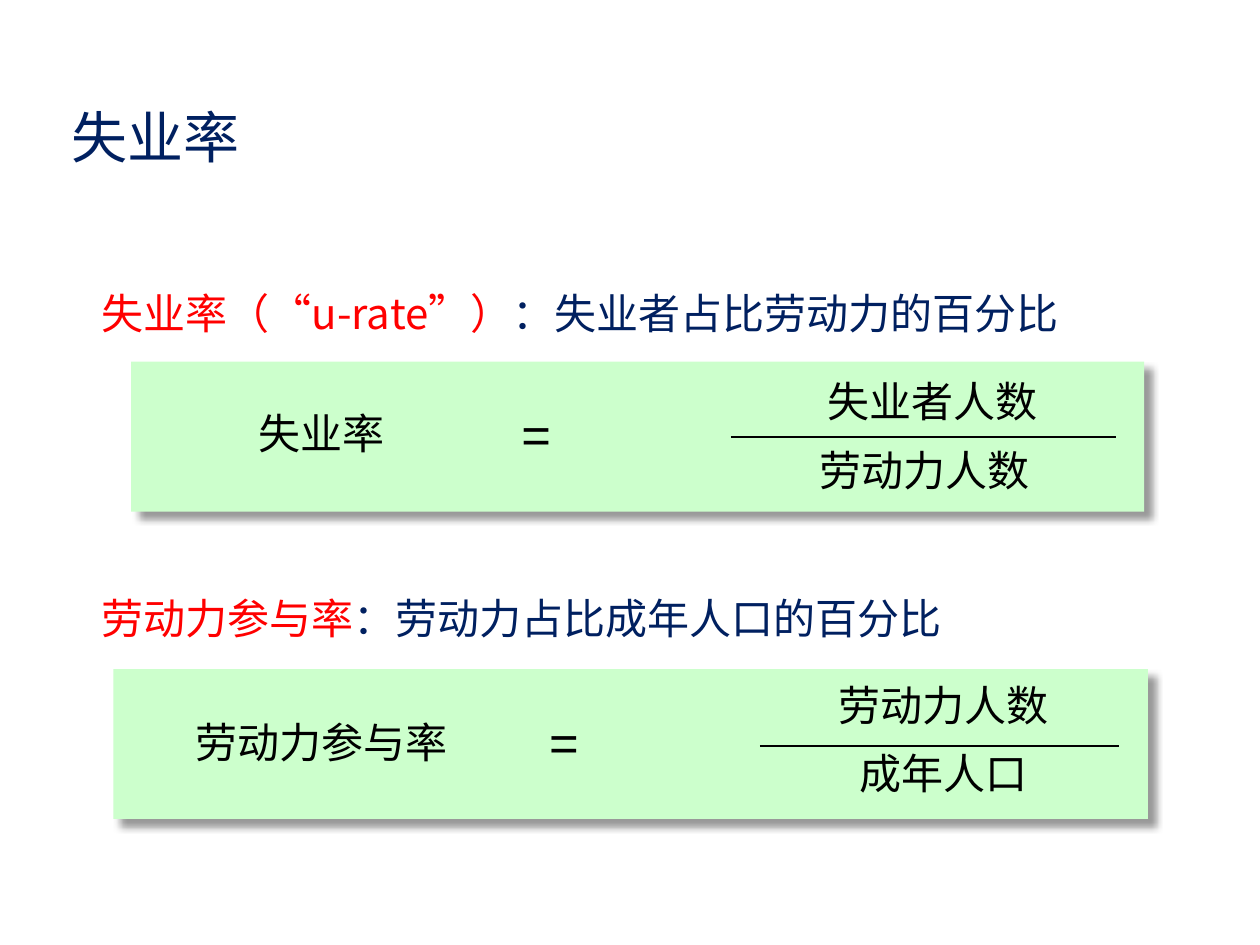
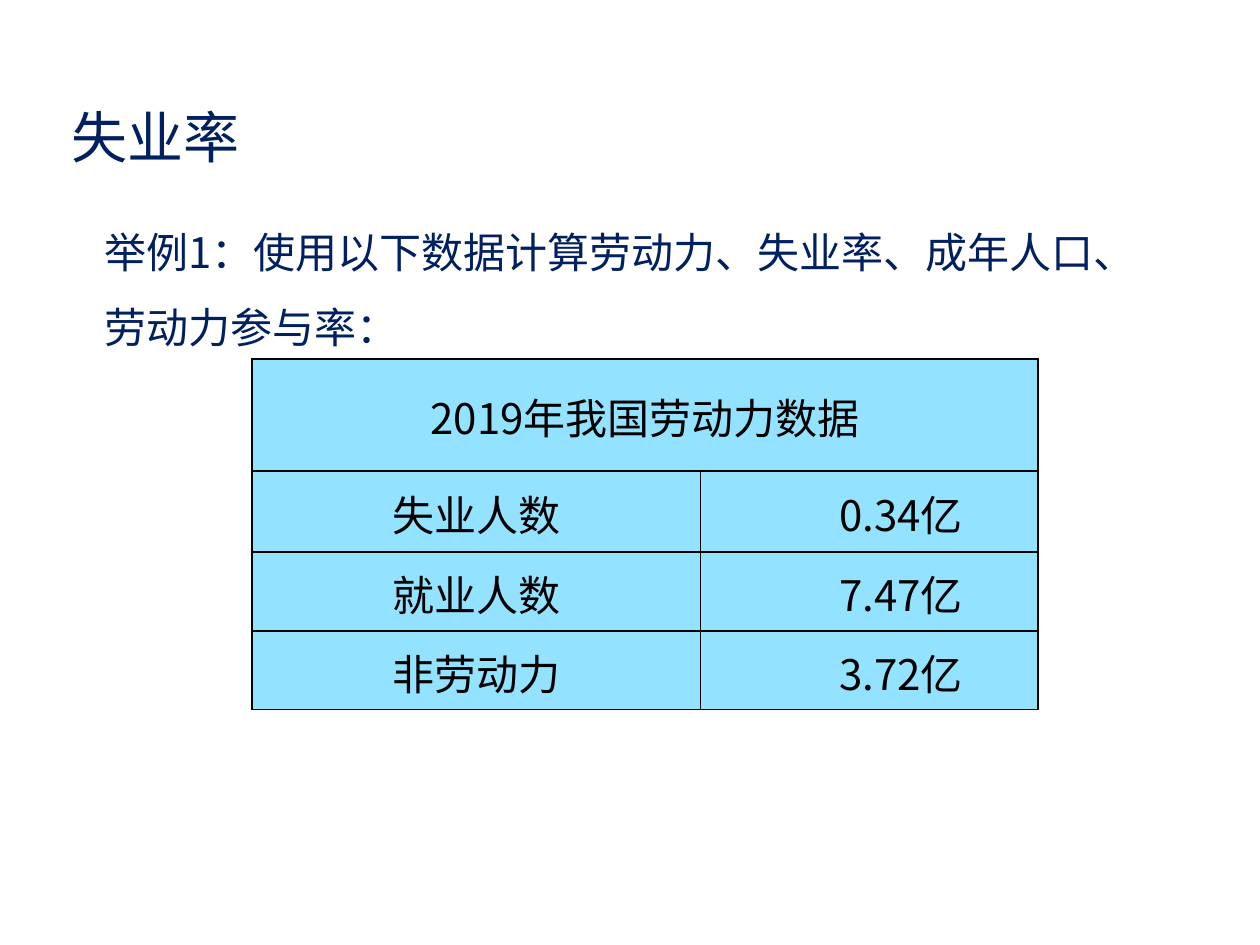
from lxml.etree import SubElement
from pptx import Presentation
from pptx.dml.color import RGBColor
from pptx.enum.shapes import MSO_CONNECTOR, MSO_SHAPE
from pptx.enum.text import MSO_ANCHOR, PP_ALIGN
from pptx.oxml import parse_xml
from pptx.oxml.ns import nsdecls, qn
from pptx.util import Inches, Pt

NAVY = RGBColor(0x00, 0x20, 0x60)
RED = RGBColor(0xFF, 0x00, 0x00)
BLACK = RGBColor(0x00, 0x00, 0x00)
GREEN = RGBColor(0xCC, 0xFF, 0xCC)
SKY = RGBColor(0x93, 0xE2, 0xFF)
SANS = "Noto Sans CJK SC"
SANS_JP = "Noto Sans CJK JP"
LEFT, CENTER = PP_ALIGN.LEFT, PP_ALIGN.CENTER

SHADOW = f"""<a:effectLst {nsdecls('a')}>
  <a:outerShdw blurRad="50800" dist="76200" dir="2700000" algn="tl" rotWithShape="0">
    <a:srgbClr val="000000"><a:alpha val="40000"/></a:srgbClr>
  </a:outerShdw>
</a:effectLst>"""
BORDER = """<a:{side} {ns} w="12700">
  <a:solidFill><a:srgbClr val="000000"/></a:solidFill>
</a:{side}>"""


def write(frame, runs, align=LEFT, size=24, spacing=None):
    """Fill the first paragraph with (text, colour, font) runs."""
    para = frame.paragraphs[0]
    para.alignment = align
    if spacing:
        para.line_spacing = spacing
    for text, color, name in runs:
        run = para.add_run()
        run.text = text
        run.font.size = Pt(size)
        run.font.name = name
        run.font.color.rgb = color
        if name != "Arial":
            SubElement(run.font._element, qn("a:ea"), typeface=name)


def add_text(shapes, box, runs, anchor=MSO_ANCHOR.MIDDLE, **style):
    frame = shapes.add_textbox(*map(Inches, box)).text_frame
    frame.word_wrap = True
    frame.vertical_anchor = anchor
    write(frame, runs, **style)


prs = Presentation()
prs.slide_width, prs.slide_height = Inches(10), Inches(7.5)

# Both slides carry the same title
slides = []
for number in range(2):
    slide = prs.slides.add_slide(prs.slide_layouts[5])
    title = slide.shapes.title
    title.left, title.top = Inches(0.47), Inches(0.76)
    title.width, title.height = Inches(1.55), Inches(0.64)
    title.text_frame.word_wrap = False
    title.text_frame.vertical_anchor = MSO_ANCHOR.MIDDLE
    write(title.text_frame, [("失业率", NAVY, SANS)], size=32)
    slides.append(slide)
rates, example = slides

# Definitions
for top, height, term, meaning in [
    (1.8, 0.91, "失业率（“u-rate”）", "：失业者占比劳动力的百分比"),
    (4.22, 0.79, "劳动力参与率", "：劳动力占比成年人口的百分比"),
]:
    add_text(rates.shapes, (0.71, top, 8.43, height),
             [(term, RED, SANS), (meaning, NAVY, SANS)],
             anchor=MSO_ANCHOR.TOP, spacing=Pt(60))

# Formulas: panel, fraction bar, then the texts on them
for panel_box, bar, texts in [
    ((1.04, 2.87, 8.04, 1.19), (5.8, 3.47, 8.86), [
        ("失业率", (1.14, 2.92, 2.82, 1.03)),
        ("失业者人数", (5.63, 2.89, 3.54, 0.58)),
        ("劳动力人数", (5.57, 3.47, 3.54, 0.51)),
        ("=", (4.04, 2.92, 1.55, 1.03)),
    ]),
    ((0.9, 5.31, 8.21, 1.19), (6.03, 5.92, 8.88), [
        ("劳动力参与率", (0.92, 5.37, 3.26, 1.03)),
        ("劳动力人数", (5.84, 5.34, 3.29, 0.51)),
        ("成年人口", (5.84, 5.88, 3.29, 0.51)),
        ("=", (4.26, 5.37, 1.55, 1.03)),
    ]),
]:
    group = rates.shapes.add_group_shape().shapes
    panel = group.add_shape(MSO_SHAPE.RECTANGLE, *map(Inches, panel_box))
    panel.fill.solid()
    panel.fill.fore_color.rgb = GREEN
    panel.line.fill.background()
    panel._element.spPr.append(parse_xml(SHADOW))

    start, level, end = map(Inches, bar)
    line = group.add_connector(MSO_CONNECTOR.STRAIGHT, start, level, end, level)
    line.line.color.rgb = BLACK
    line.line.width = Pt(1)
    SubElement(line._element.spPr, qn("a:effectLst"))

    for text, box in texts:
        if text == "=":
            add_text(group, box, [(text, BLACK, "Arial")], size=29)
        else:
            add_text(group, box, [(text, BLACK, SANS)], align=CENTER)

# Worked example
add_text(example.shapes, (0.73, 1.55, 8.19, 1.31), [
    ("举例1", NAVY, SANS_JP),
    ("：使用以下数据计算劳动力、失业率、成年人口、劳动力参与率：", NAVY, SANS),
], anchor=MSO_ANCHOR.TOP, spacing=Pt(43))

data = [
    ("2019年我国劳动力数据", ""),
    ("失业人数", "0.34亿"),
    ("就业人数", "7.47亿"),
    ("非劳动力", "3.72亿"),
]
table = example.shapes.add_table(
    4, 2, Inches(2), Inches(2.85), Inches(6.24), Inches(2.78)).table
table.first_row = table.horz_banding = False
for column, width in zip(table.columns, (3.56, 2.68)):
    column.width = Inches(width)
for row, height in zip(table.rows, (0.89, 0.64, 0.63, 0.62)):
    row.height = Inches(height)
table.cell(0, 0).merge(table.cell(0, 1))

for row, values in enumerate(data):
    for col, value in enumerate(values):
        cell = table.cell(row, col)
        cell.vertical_anchor = MSO_ANCHOR.MIDDLE
        for side in ("lnL", "lnR", "lnT", "lnB"):
            cell._tc.tcPr.append(
                parse_xml(BORDER.format(side=side, ns=nsdecls("a"))))
        cell.fill.solid()
        cell.fill.fore_color.rgb = SKY
        if col:
            cell.margin_left = Inches(1.1)
        if value:
            write(cell.text_frame, [(value, BLACK, SANS)],
                  align=LEFT if col else CENTER, spacing=1.05)

prs.save("out.pptx")
